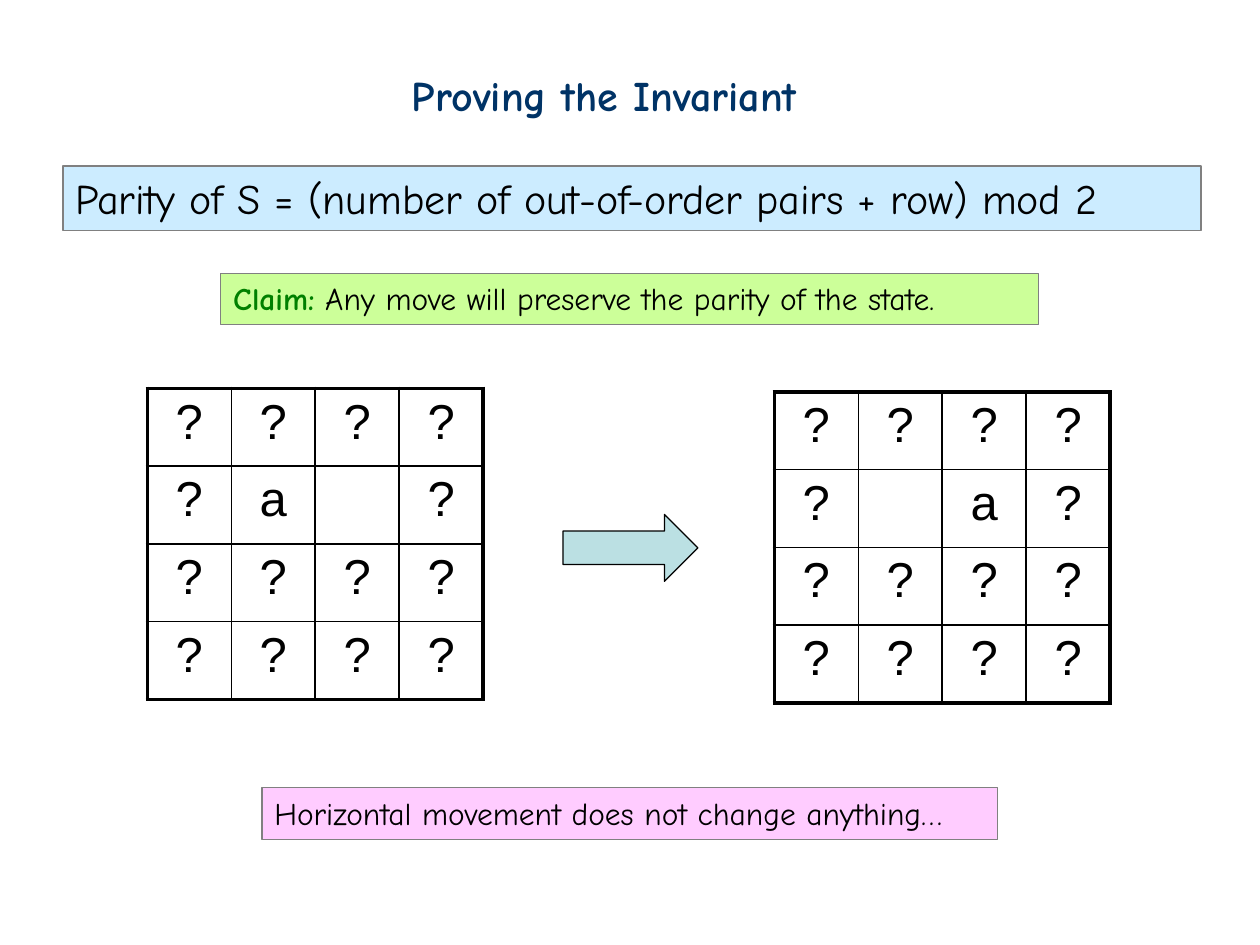
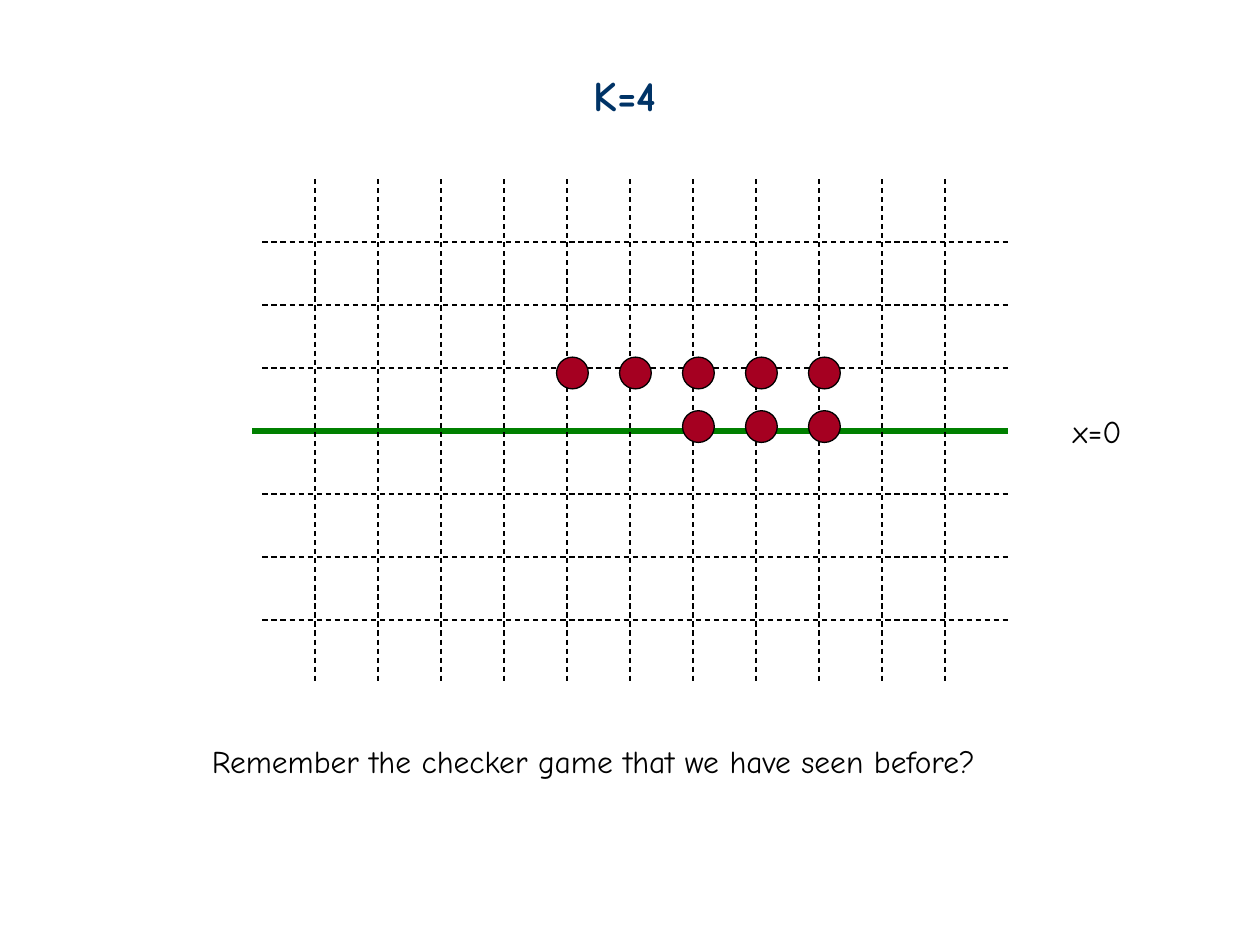
"""Build two slides: the puzzle parity invariant and the K=4 checker board."""
from pptx import Presentation
from pptx.dml.color import RGBColor
from pptx.enum.dml import MSO_LINE
from pptx.enum.shapes import MSO_CONNECTOR, MSO_SHAPE
from pptx.enum.text import MSO_ANCHOR, MSO_AUTO_SIZE, PP_ALIGN
from pptx.oxml.ns import qn
from pptx.util import Cm, Pt
from lxml.etree import SubElement

NAVY = RGBColor(0x00, 0x33, 0x66)
GREEN = RGBColor(0x00, 0x80, 0x00)
BLACK = RGBColor(0x00, 0x00, 0x00)
GREY = RGBColor(0x80, 0x80, 0x80)
LIME = RGBColor(0xCC, 0xFF, 0x99)
SKY = RGBColor(0xCC, 0xEC, 0xFF)
PINK = RGBColor(0xFF, 0xCC, 0xFF)
TEAL = RGBColor(0xBB, 0xE0, 0xE3)
CRIMSON = RGBColor(0xA5, 0x00, 0x21)
FONT = "Comic Neue"
TABLE_FONT = "Arial"


def write(box, text, size, color=BLACK, bold=False, lead=""):
    """Fill a box with one left-aligned line, after an optional bold green lead."""
    frame = box.text_frame
    frame.word_wrap = True
    frame.auto_size = MSO_AUTO_SIZE.NONE
    frame.vertical_anchor = MSO_ANCHOR.TOP
    para = frame.paragraphs[0]
    para.alignment = PP_ALIGN.LEFT
    para.font.name = FONT
    para.font.size = Pt(size)
    if lead:
        span = para.add_run()
        span.text = lead
        span.font.bold = True
        span.font.color.rgb = GREEN
    span = para.add_run()
    span.text = text
    span.font.bold = bold
    span.font.color.rgb = color


def draw_line(page, x1, y1, x2, y2, color=BLACK, width=0.75, dash=MSO_LINE.DASH):
    """Draw a straight line between two points given in centimetres."""
    line = page.shapes.add_connector(
        MSO_CONNECTOR.STRAIGHT, Cm(x1), Cm(y1), Cm(x2), Cm(y2))
    line.line.color.rgb = color
    line.line.width = Pt(width)
    line.line.dash_style = dash
    SubElement(line._element.spPr, qn("a:effectLst"))


deck = Presentation()
deck.slide_width = Cm(25.4)
deck.slide_height = Cm(19.05)

pages = []
for heading, left, width in [("Proving the Invariant", 8.05, 9.19), ("K=4", 11.71, 2.06)]:
    page = deck.slides.add_slide(deck.slide_layouts[5])
    title = page.shapes.title
    title.left, title.top, title.width, title.height = Cm(left), Cm(1.27), Cm(width), Cm(1.27)
    write(title, heading, 24, NAVY, True)
    pages.append(page)
invariant_page, checker_page = pages

for left, top, width, height, fill, size, lead, text in [
    (4.45, 5.51, 16.48, 1.04, LIME, 18, "Claim:", " Any move will preserve the parity of the state."),
    (1.27, 3.35, 22.94, 1.3, SKY, 24, "", "Parity of S = (number of out-of-order pairs + row) mod 2"),
    (5.28, 15.88, 14.83, 1.04, PINK, 18, "", "Horizontal movement does not change anything…"),
]:
    box = invariant_page.shapes.add_shape(
        MSO_SHAPE.RECTANGLE, Cm(left), Cm(top), Cm(width), Cm(height))
    box.shadow.inherit = False
    box.fill.solid()
    box.fill.fore_color.rgb = fill
    box.line.color.rgb = GREY
    box.line.width = Pt(0.75)
    write(box, text, size, lead=lead)

for left, top, tiles in [
    (2.97, 7.83, ["????", "?a ?", "????", "????"]),
    (15.61, 7.9, ["????", "? a?", "????", "????"]),
]:
    puzzle = invariant_page.shapes.add_table(
        4, 4, Cm(left), Cm(top), Cm(6.77), Cm(6.27)).table
    puzzle.first_row = False
    puzzle.horz_banding = False
    for row, letters in enumerate(tiles):
        for column, letter in enumerate(letters):
            cell = puzzle.cell(row, column)
            cell.fill.background()
            para = cell.text_frame.paragraphs[0]
            para.text = letter.strip()
            para.alignment = PP_ALIGN.CENTER
            para.font.name = TABLE_FONT
            para.font.size = Pt(28)
            para.font.color.rgb = BLACK
            properties = cell._tc.get_or_add_tcPr()
            outer_sides = [column == 0, column == 3, row == 0, row == 3]
            for order, (side, outer) in enumerate(zip("LRTB", outer_sides)):
                border = SubElement(properties, qn(f"a:ln{side}"), w=str(Pt(2.25 if outer else 1)))
                SubElement(SubElement(border, qn("a:solidFill")), qn("a:srgbClr"), val=str(BLACK))
                properties.insert(order, border)

arrow = invariant_page.shapes.add_shape(
    MSO_SHAPE.RIGHT_ARROW, Cm(11.35), Cm(10.37), Cm(2.72), Cm(1.35))
arrow.shadow.inherit = False
arrow.fill.solid()
arrow.fill.fore_color.rgb = TEAL
arrow.line.color.rgb = BLACK
arrow.line.width = Pt(0.75)

STEP = 1.27
AXIS_Y = 8.69
draw_line(checker_page, 5.08, AXIS_Y, 20.32, AXIS_Y, GREEN, 3, MSO_LINE.SOLID)
for row in (-3, -2, -1, 1, 2, 3):
    draw_line(checker_page, 5.29, AXIS_Y + row * STEP, 20.32, AXIS_Y + row * STEP)
for column in range(11):
    x = 6.35 + column * STEP
    draw_line(checker_page, x, 3.61, x, 13.77)

for top, columns in [(7.2, range(5)), (8.28, range(2, 5))]:
    for column in columns:
        checker = checker_page.shapes.add_shape(
            MSO_SHAPE.OVAL, Cm(11.22 + column * STEP), Cm(top), Cm(0.64), Cm(0.64))
        checker.shadow.inherit = False
        checker.fill.solid()
        checker.fill.fore_color.rgb = CRIMSON
        checker.line.color.rgb = BLACK
        checker.line.width = Pt(0.75)

for left, top, width, text in [
    (21.38, 8.18, 1.6, "x=0"),
    (4.02, 14.83, 17.15, "Remember the checker game that we have seen before?"),
]:
    label = checker_page.shapes.add_textbox(Cm(left), Cm(top), Cm(width), Cm(1.02))
    write(label, text, 18)

deck.save("out.pptx")
